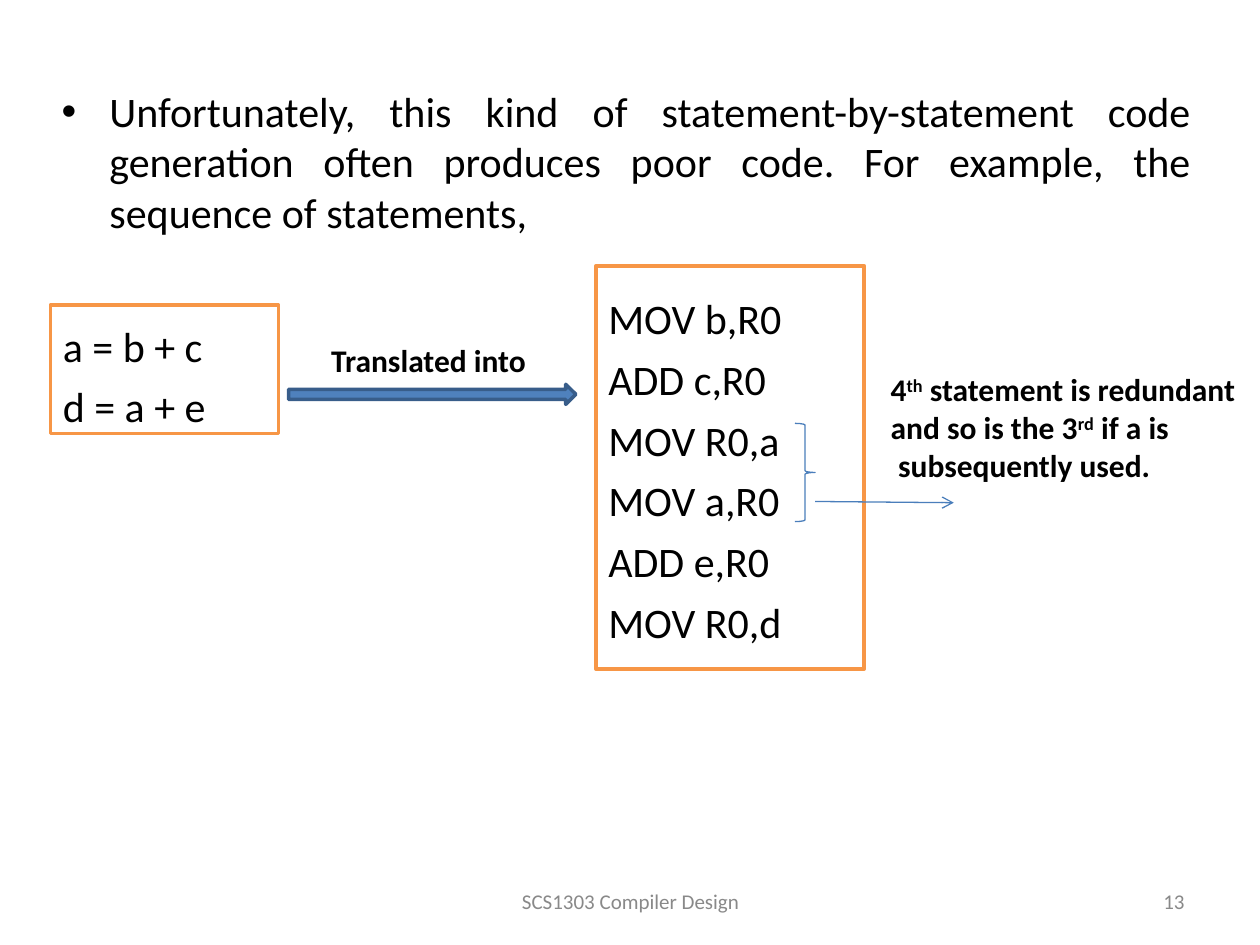
from lxml.etree import SubElement
from pptx import Presentation
from pptx.dml.color import RGBColor
from pptx.enum.shapes import MSO_CONNECTOR, MSO_SHAPE as Preset
from pptx.enum.text import MSO_ANCHOR as Anchor, PP_ALIGN as Align
from pptx.oxml.ns import qn
from pptx.util import Inches, Pt

BLACK = RGBColor(0x00, 0x00, 0x00)
WHITE = RGBColor(0xFF, 0xFF, 0xFF)
GREY = RGBColor(0x89, 0x89, 0x89)
ORANGE = RGBColor(0xF7, 0x96, 0x46)
BLUE = RGBColor(0x4F, 0x81, 0xBD)
DARK_BLUE = RGBColor(0x38, 0x5D, 0x8A)
LINE_BLUE = RGBColor(0x4A, 0x7E, 0xBB)


def add_span(para, text, size, color=BLACK, bold=False, raised=False):
    span = para.add_run()
    span.text = text
    span.font.name = "Calibri"
    span.font.size = Pt(size)
    span.font.bold = bold
    span.font.color.rgb = color
    if raised:
        span.font._element.set("baseline", "30000")


def next_para(frame, index):
    return frame.add_paragraph() if index else frame.paragraphs[0]


def indent(para, left, first=0.0):
    props = para._p.get_or_add_pPr()
    props.set("marL", str(Inches(left)))
    props.set("indent", str(Inches(first)))
    return props


def add_text_box(page, left, top, width, height, wrap=True):
    frame = page.shapes.add_textbox(
        Inches(left), Inches(top), Inches(width), Inches(height)).text_frame
    frame.word_wrap = wrap
    return frame


def add_bullet_text(page, text):
    para = add_text_box(page, 0.39, 0.63, 9.16, 6.17).paragraphs[0]
    props = indent(para, 0.38, -0.38)
    SubElement(props, qn("a:buFont"), typeface="Arial")
    SubElement(props, qn("a:buChar"), char="•")
    para.alignment = Align.JUSTIFY
    add_span(para, text, 24)


def add_footer(page, left, width, text, alignment):
    frame = add_text_box(page, left, 6.95, width, 0.4)
    frame.vertical_anchor = Anchor.MIDDLE
    para = frame.paragraphs[0]
    para.alignment = alignment
    add_span(para, text, 12, GREY)


def add_outlined(page, preset, left, top, width, height, fill, line, weight):
    shape = page.shapes.add_shape(
        preset, Inches(left), Inches(top), Inches(width), Inches(height))
    shape.shadow.inherit = False
    if fill is None:
        shape.fill.background()
    else:
        shape.fill.solid()
        shape.fill.fore_color.rgb = fill
    shape.line.color.rgb = line
    shape.line.width = Pt(weight)
    return shape


def add_code_box(page, left, top, width, height, inset_top, statements):
    box = add_outlined(page, Preset.RECTANGLE, left, top, width, height,
                       WHITE, ORANGE, 2)
    frame = box.text_frame
    frame.word_wrap = True
    frame.vertical_anchor = Anchor.TOP
    frame.margin_top = Inches(inset_top)
    for index, statement in enumerate(statements):
        para = next_para(frame, index)
        para.alignment = Align.JUSTIFY
        para.space_before = Pt(6 if index else 0)
        add_span(para, statement, 24)


def add_thin_arrow(page, start_x, start_y, end_x, end_y):
    arrow = page.shapes.add_connector(
        MSO_CONNECTOR.STRAIGHT, Inches(start_x), Inches(start_y),
        Inches(end_x), Inches(end_y))
    arrow.line.color.rgb = LINE_BLUE
    arrow.line.width = Pt(0.75)
    SubElement(arrow.line._get_or_add_ln(), qn("a:tailEnd"), type="arrow")
    SubElement(arrow._element.spPr, qn("a:effectLst"))


def add_redundancy_note(page):
    frame = add_text_box(page, 6.97, 2.89, 3.01, 1, wrap=False)
    lines = [
        [("4", False), ("th", True), (" statement is redundant", False)],
        [("and so is the 3", False), ("rd", True), (" if a is", False)],
        [("subsequently used.", False)],
    ]
    for index, line in enumerate(lines):
        para = next_para(frame, index)
        for text, raised in line:
            add_span(para, text, 18, bold=True, raised=raised)
    indent(frame.paragraphs[-1], 0.06)


def main():
    deck = Presentation()
    deck.slide_width, deck.slide_height = Inches(10), Inches(7.5)
    page = deck.slides.add_slide(deck.slide_layouts[6])

    add_bullet_text(page, "Unfortunately, this kind of statement-by-statement "
                          "code generation often produces poor code. For "
                          "example, the sequence of statements,")
    add_footer(page, 3.42, 3.17, "SCS1303 Compiler Design", Align.CENTER)
    add_footer(page, 7.17, 2.33, "13", Align.RIGHT)

    add_code_box(page, 0.4, 2.42, 1.81, 1.02, 0.12, ["a = b + c", "d = a + e"])
    add_code_box(page, 4.73, 2.11, 2.13, 3.2, 0.21,
                 ["MOV b,R0", "ADD c,R0", "MOV R0,a",
                  "MOV a,R0", "ADD e,R0", "MOV R0,d"])
    add_outlined(page, Preset.RIGHT_ARROW, 2.29, 3.05, 2.28, 0.16,
                 BLUE, DARK_BLUE, 2)
    label = add_text_box(page, 2.53, 2.66, 1.77, 0.4, wrap=False)
    add_span(label.paragraphs[0], "Translated into", 18, bold=True)

    add_thin_arrow(page, 6.47, 3.98, 7.57, 3.99)
    add_redundancy_note(page)
    add_outlined(page, Preset.RIGHT_BRACE, 6.31, 3.36, 0.16, 0.78,
                 None, LINE_BLUE, 0.75)

    deck.save("out.pptx")


if __name__ == "__main__":
    main()
